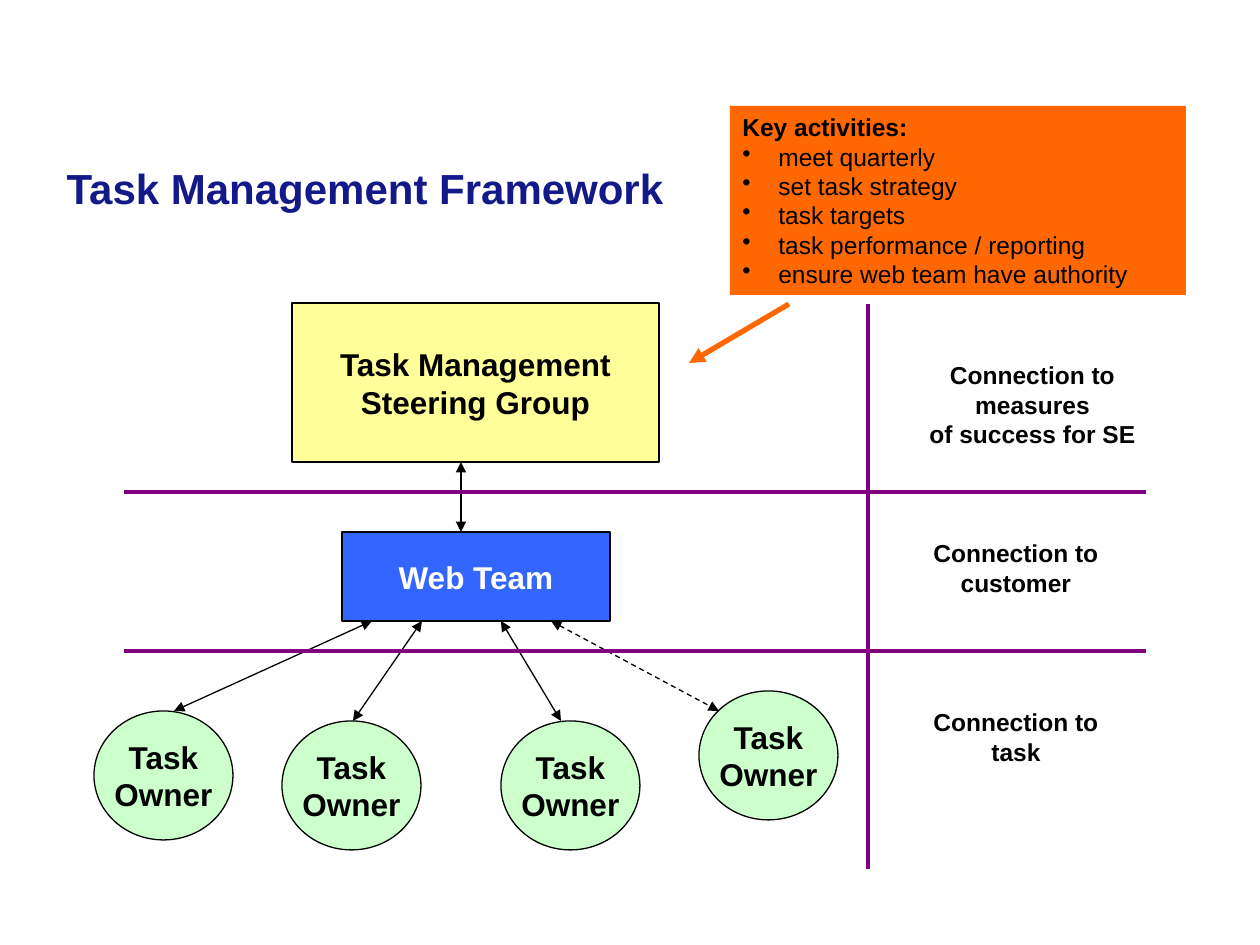
from lxml import etree
from pptx import Presentation
from pptx.dml.color import RGBColor
from pptx.enum.dml import MSO_LINE
from pptx.enum.shapes import MSO_CONNECTOR, MSO_SHAPE
from pptx.enum.text import MSO_ANCHOR, PP_ALIGN
from pptx.oxml.ns import qn
from pptx.util import Pt

PX = 7257  # EMU per px, at 126 px to the inch
FONT = "Arial"
COLORS = {
    "title": "131989", "black": "000000", "white": "FFFFFF", "yellow": "FFFF99",
    "blue": "3366FF", "green": "CCFFCC", "purple": "800080", "orange": "FF6800",
}

# Content: boxes are left, top, width, height in px
TITLE = "Task Management Framework"
TITLE_BOX = (54, 145, 635, 85)
TEAMS = [
    (["Task Management", "Steering Group"], (292, 303, 367, 159), "yellow", "black"),
    (["Web Team"], (342, 532, 268, 89), "blue", "white"),
]
OWNER_LINES = ["Task", "Owner"]
OWNER_SIZE = (139, 129)
OWNER_POSITIONS = [(94, 711), (282, 721), (501, 721), (699, 691)]
# Arrows: start, end, dashed
TEAM_ARROWS = [
    ((174, 711), (372, 621), False),
    ((353, 721), (422, 621), False),
    ((561, 721), (501, 621), False),
    ((551, 621), (719, 711), True),
    ((461, 532), (461, 462), False),
]
DIVIDERS = [((124, 651), (1146, 651)), ((124, 492), (1146, 492)), ((868, 304), (868, 869))]
CONNECTIONS = [
    (["Connection to measures", "of success for SE"], (877, 354, 311, 72)),
    (["Connection to", "customer"], (921, 532, 190, 72)),
    (["Connection to", "task"], (921, 701, 190, 72)),
]
ACTIVITIES_BOX = (730, 106, 456, 189)
ACTIVITIES_HEADING = "Key activities:"
ACTIVITIES = [
    "meet quarterly", "set task strategy", "task targets",
    "task performance / reporting", "ensure web team have authority",
]
ACTIVITIES_ARROW = ((789, 304), (689, 363))
BULLET_INDENT = 36


def color(name):
    return RGBColor.from_string(COLORS[name])


def emu(lengths):
    return [length * PX for length in lengths]


def write(shape, lines, size, text_color="black", align=PP_ALIGN.CENTER,
          anchor=MSO_ANCHOR.MIDDLE, wrap=False):
    frame = shape.text_frame
    frame.text = "\n".join(lines)
    frame.word_wrap = wrap
    frame.vertical_anchor = anchor
    for paragraph in frame.paragraphs:
        paragraph.alignment = align
        paragraph.font.name = FONT
        paragraph.font.size = Pt(size)
        paragraph.font.bold = True
        paragraph.font.color.rgb = color(text_color)


def add_filled(slide, kind, box, fill, outlined=True):
    shape = slide.shapes.add_shape(kind, *emu(box))
    shape.shadow.inherit = False
    shape.fill.solid()
    shape.fill.fore_color.rgb = color(fill)
    if outlined:
        shape.line.color.rgb = color("black")
        shape.line.width = Pt(0.75)
    else:
        shape.line.fill.background()
    return shape


def add_line(slide, start, end, line_color, width, heads=(), dashed=False):
    connector = slide.shapes.add_connector(MSO_CONNECTOR.STRAIGHT, *emu(start + end))
    connector.line.color.rgb = color(line_color)
    connector.line.width = Pt(width)
    if dashed:
        connector.line.dash_style = MSO_LINE.DASH
    properties = connector.line._get_or_add_ln()
    for head in heads:
        etree.SubElement(properties, qn(f"a:{head}"), type="triangle")
    etree.SubElement(connector._element.spPr, qn("a:effectLst"))


def add_bullet(paragraph):
    properties = paragraph._p.get_or_add_pPr()
    properties.set("marL", str(BULLET_INDENT * PX))
    properties.set("indent", str(-BULLET_INDENT * PX))
    bullet = etree.Element(qn("a:buChar"), char="•")
    properties.insert(0, bullet)


def main():
    presentation = Presentation()
    presentation.slide_width, presentation.slide_height = emu((1260, 945))
    slide = presentation.slides.add_slide(presentation.slide_layouts[5])

    # Title
    title = slide.shapes.title
    title.left, title.top, title.width, title.height = emu(TITLE_BOX)
    write(title, [TITLE], 24, "title", PP_ALIGN.LEFT, wrap=True)

    # Teams and task owners
    for lines, box, fill, text_color in TEAMS:
        write(add_filled(slide, MSO_SHAPE.RECTANGLE, box, fill), lines, 18, text_color)
    for position in OWNER_POSITIONS:
        owner = add_filled(slide, MSO_SHAPE.OVAL, position + OWNER_SIZE, "green")
        write(owner, OWNER_LINES, 18)

    # Arrows between teams, and dividers
    for start, end, dashed in TEAM_ARROWS:
        add_line(slide, start, end, "black", 0.75, ("headEnd", "tailEnd"), dashed)
    for start, end in DIVIDERS:
        add_line(slide, start, end, "purple", 2)

    # Connection labels
    for lines, box in CONNECTIONS:
        label = slide.shapes.add_textbox(*emu(box))
        write(label, lines, 14, anchor=MSO_ANCHOR.TOP)

    # Key activities
    activities = add_filled(slide, MSO_SHAPE.RECTANGLE, ACTIVITIES_BOX, "orange", outlined=False)
    write(activities, [ACTIVITIES_HEADING] + ACTIVITIES, 14, align=PP_ALIGN.LEFT,
          anchor=MSO_ANCHOR.TOP, wrap=True)
    for paragraph in activities.text_frame.paragraphs[1:]:
        add_bullet(paragraph)
        paragraph.font.bold = False
    add_line(slide, *ACTIVITIES_ARROW, "orange", 3, ("tailEnd",))

    presentation.save("out.pptx")


if __name__ == "__main__":
    main()
